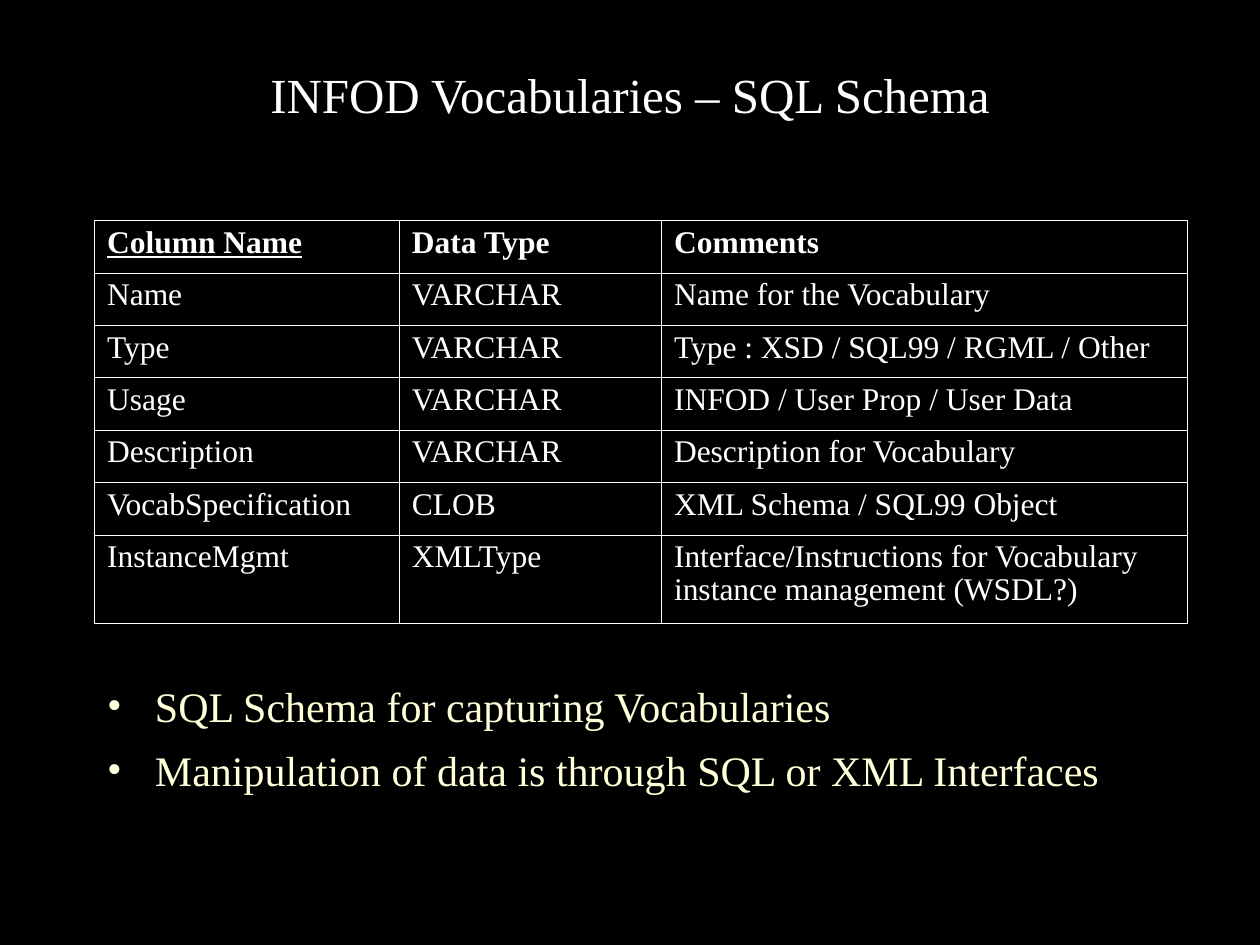
import pptx
import pptx.dml.color
import pptx.enum.text
import pptx.oxml
import pptx.oxml.ns
import pptx.util

FONT = "Times New Roman"
COLORS = {"background": "000000", "text": "FFFFFF", "list": "FFFFD9"}
SLIDE_WIDTH, SLIDE_HEIGHT = pptx.util.Inches(10), pptx.util.Inches(7.5)

# Boxes are left, top, width and height as shares of the slide.
TITLE_BOX = (0.075, 0.044, 0.85, 0.111)
TABLE_BOX = (0.075, 0.2333, 0.867, 0.427)
LIST_BOX = (0.075, 0.711, 0.867, 0.133)

COLUMN_SHARES = (0.279, 0.24, 0.481)
LAST_ROW_SHARE = 0.22
BORDER_WIDTH = pptx.util.Pt(0.45)
LIST_INDENT = pptx.util.Inches(0.38)

TITLE = "INFOD Vocabularies – SQL Schema"
SCHEMA_ROWS = [
    ("Column Name", "Data Type", "Comments"),
    ("Name", "VARCHAR", "Name for the Vocabulary"),
    ("Type", "VARCHAR", "Type : XSD / SQL99 / RGML / Other"),
    ("Usage", "VARCHAR", "INFOD / User Prop / User Data"),
    ("Description", "VARCHAR", "Description for Vocabulary"),
    ("VocabSpecification", "CLOB", "XML Schema / SQL99 Object"),
    ("InstanceMgmt", "XMLType",
     "Interface/Instructions for Vocabulary instance management (WSDL?)"),
]
LIST_ITEMS = [
    "SQL Schema for capturing Vocabularies",
    "Manipulation of data is through SQL or XML Interfaces",
]


def rgb(name):
    return pptx.dml.color.RGBColor.from_string(COLORS[name])


def scale(box):
    """Turn shares of the slide into lengths."""
    sizes = (SLIDE_WIDTH, SLIDE_HEIGHT) * 2
    return [pptx.util.Emu(round(share * size)) for share, size in zip(box, sizes)]


def place(shape, box):
    shape.left, shape.top, shape.width, shape.height = scale(box)


def write(paragraph, text, size, color="text", bold=False, underline=False,
          align=pptx.enum.text.PP_ALIGN.LEFT, line_spacing=1.0, space_before=0):
    paragraph.text = text
    paragraph.alignment = align
    paragraph.line_spacing = line_spacing
    paragraph.space_before = pptx.util.Pt(space_before)
    font = paragraph.runs[0].font
    font.name, font.size = FONT, pptx.util.Pt(size)
    font.bold, font.underline = bold, underline
    font.color.rgb = rgb(color)


def add_bullet(paragraph, color):
    properties = paragraph._p.get_or_add_pPr()
    properties.set("marL", str(LIST_INDENT))
    properties.set("indent", str(-LIST_INDENT))
    namespace = pptx.oxml.ns.nsdecls("a")
    for xml in (
        f'<a:buClr {namespace}><a:srgbClr val="{COLORS[color]}"/></a:buClr>',
        f'<a:buFont {namespace} typeface="{FONT}"/>',
        f'<a:buChar {namespace} char="•"/>',
    ):
        properties.append(pptx.oxml.parse_xml(xml))


def add_borders(cell, color):
    properties = cell._tc.get_or_add_tcPr()
    for position, side in enumerate(("lnL", "lnR", "lnT", "lnB")):
        properties.insert(position, pptx.oxml.parse_xml(
            f'<a:{side} {pptx.oxml.ns.nsdecls("a")} w="{BORDER_WIDTH}">'
            f'<a:solidFill><a:srgbClr val="{COLORS[color]}"/></a:solidFill>'
            f'</a:{side}>'))


def fill_title(slide, box):
    title = slide.shapes.title
    place(title, box)
    frame = title.text_frame
    frame.auto_size = pptx.enum.text.MSO_AUTO_SIZE.NONE
    frame.vertical_anchor = pptx.enum.text.MSO_ANCHOR.MIDDLE
    write(frame.paragraphs[0], TITLE, 28, align=pptx.enum.text.PP_ALIGN.CENTER)


def add_schema_table(slide, box):
    left, top, width, height = scale(box)
    row_count = len(SCHEMA_ROWS)
    table = slide.shapes.add_table(
        row_count, len(COLUMN_SHARES), left, top, width, height).table
    table.horz_banding = False
    for column, share in zip(table.columns, COLUMN_SHARES):
        column.width = round(width * share)
    row_shares = [(1 - LAST_ROW_SHARE) / (row_count - 1)] * (row_count - 1)
    for row, share in zip(table.rows, row_shares + [LAST_ROW_SHARE]):
        row.height = round(height * share)
    for row_index, texts in enumerate(SCHEMA_ROWS):
        is_header = row_index == 0
        for column_index, text in enumerate(texts):
            cell = table.cell(row_index, column_index)
            cell.fill.background()
            add_borders(cell, "text")
            write(cell.text_frame.paragraphs[0], text, 18, bold=is_header,
                  underline=is_header and column_index == 0, line_spacing=0.95)


def fill_list(slide, box):
    body = slide.placeholders[1]
    place(body, box)
    frame = body.text_frame
    frame.auto_size = pptx.enum.text.MSO_AUTO_SIZE.NONE
    for index, text in enumerate(LIST_ITEMS):
        paragraph = frame.add_paragraph() if index else frame.paragraphs[0]
        add_bullet(paragraph, "list")
        write(paragraph, text, 24, color="list", line_spacing=1.05,
              space_before=6 if index else 0)


def main():
    presentation = pptx.Presentation()
    presentation.slide_width, presentation.slide_height = SLIDE_WIDTH, SLIDE_HEIGHT
    slide = presentation.slides.add_slide(presentation.slide_layouts[1])
    slide.background.fill.solid()
    slide.background.fill.fore_color.rgb = rgb("background")
    fill_title(slide, TITLE_BOX)
    add_schema_table(slide, TABLE_BOX)
    fill_list(slide, LIST_BOX)
    presentation.save("out.pptx")


if __name__ == "__main__":
    main()
